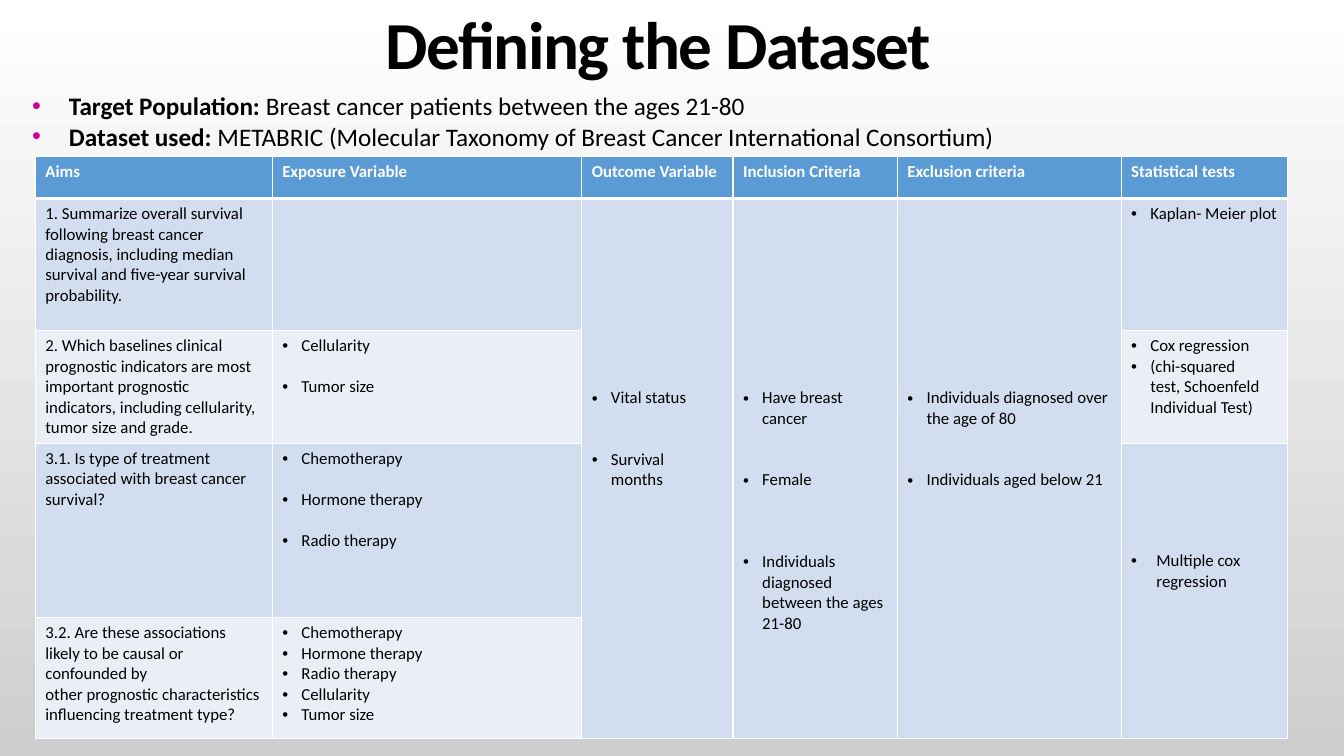
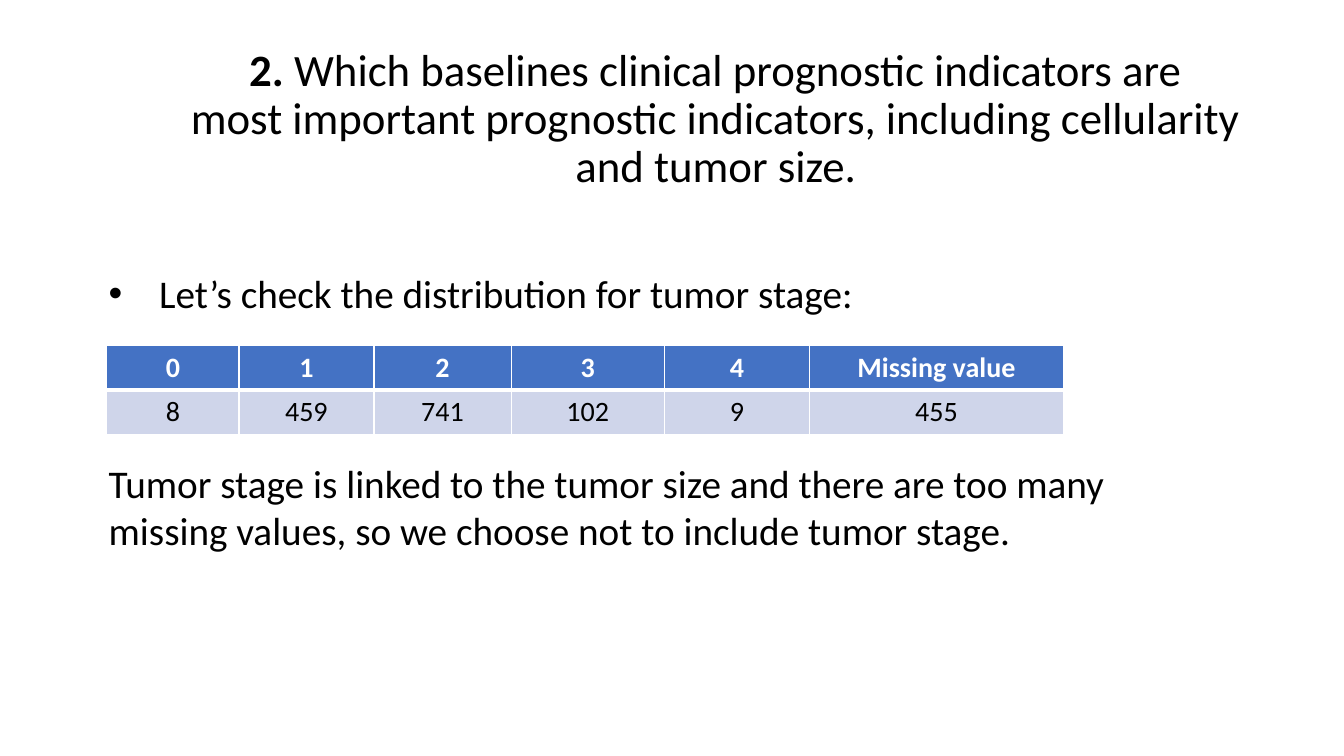
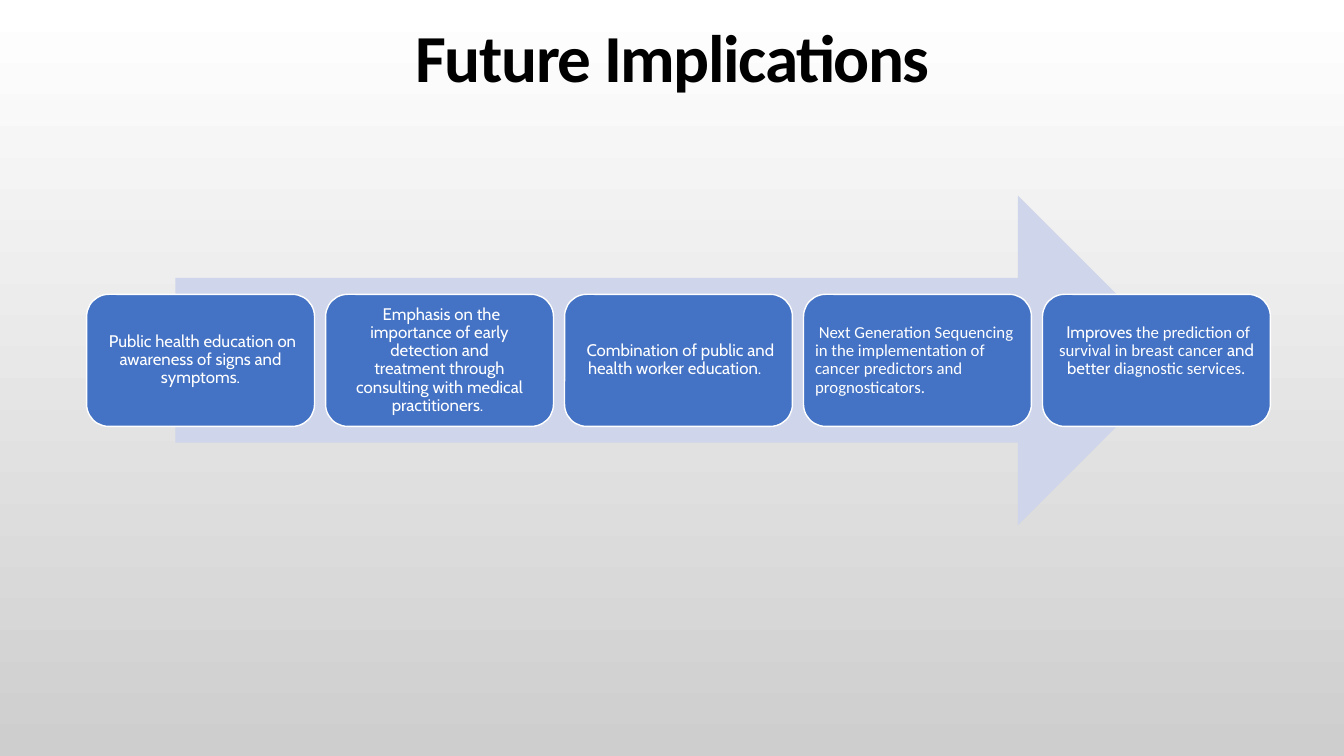
from lxml import etree
from pptx import Presentation
from pptx import util as u
from pptx.dml.color import RGBColor
from pptx.enum import shapes, text
from pptx.oxml import ns

W, H = 13.33, 7.5
FONT, CARD_FONT = "Calibri", "Cabin"
BLACK, WHITE, GREY, PINK = "000000", "FFFFFF", "CECECE", "CC0099"
BLUE, PALE_BLUE = "4472C4", "CFD5EA"
SKY, SKY_BANDS = "5B9BD5", ("D2DEEF", "EAEFF7")
LEFT, CENTER = text.PP_ALIGN.LEFT, text.PP_ALIGN.CENTER
TOP, MIDDLE = text.MSO_ANCHOR.TOP, text.MSO_ANCHOR.MIDDLE
LINE = 1.22  # line height as a share of the text size


def rgb(color):
    return RGBColor.from_string(color)


def inches(*values):
    return [u.Inches(v) for v in values]


def child(parent, tag, **attrs):
    return etree.SubElement(parent, ns.qn(tag), attrs)


def write(p, runs, size=12, font=FONT, color=BLACK, bold=False, align=LEFT,
          spacing=None, before=0, track=None, indent=0, bullet=None):
    """Fill a paragraph with a string or (string, format) runs; ~ is a hard space."""
    p.alignment, p.space_before, p.space_after = align, u.Pt(before), u.Pt(0)
    if spacing:
        p.line_spacing = spacing
    for words, own in [(runs, {})] if isinstance(runs, str) else runs:
        r = p.add_run()
        r.text = words.replace("~", chr(160))
        r.font.size, r.font.name = u.Pt(size), own.get("font", font)
        r.font.bold = own.get("bold", bold)
        r.font.color.rgb = rgb(color)
        if track:
            r.font._element.set("spc", str(track))
    if bullet:
        pPr = p._p.get_or_add_pPr()
        pPr.set("marL", str(u.Inches(indent)))
        pPr.set("indent", str(-u.Inches(indent)))
        child(child(pPr, "a:buClr"), "a:srgbClr", val=bullet)
        child(pPr, "a:buFont", typeface="Arial")
        child(pPr, "a:buChar", char="•")


def add_slide(prs, shaded):
    s = prs.slides.add_slide(prs.slide_layouts[5])
    fill = s.background.fill
    if shaded:
        fill.gradient()
        fill.gradient_angle = 270
        for stop, color in zip(fill.gradient_stops, (WHITE, GREY)):
            stop.color.rgb = rgb(color)
    else:
        fill.solid()
        fill.fore_color.rgb = rgb(WHITE)
    return s


def set_title(s, box, runs, **fmt):
    sp = s.shapes.title
    sp.left, sp.top, sp.width, sp.height = inches(*box)
    tf = sp.text_frame
    tf.word_wrap, tf.auto_size = True, text.MSO_AUTO_SIZE.NONE
    tf.vertical_anchor = MIDDLE
    style = dict(size=48, bold=True, align=CENTER, spacing=0.9, track=-100)
    write(tf.paragraphs[0], runs, **{**style, **fmt})


def add_text(s, box, paragraphs):
    tf = s.shapes.add_textbox(*inches(*box)).text_frame
    tf.word_wrap = True
    for i, (runs, fmt) in enumerate(paragraphs):
        write(tf.paragraphs[0] if i == 0 else tf.add_paragraph(), runs, **fmt)


def set_borders(cell, top, bottom):
    tcPr = cell._tc.get_or_add_tcPr()
    sides = (("a:lnL", 1), ("a:lnR", 1), ("a:lnT", top), ("a:lnB", bottom))
    for i, (tag, width) in enumerate(sides):
        ln = etree.Element(ns.qn(tag), w=str(u.Pt(width)))
        child(child(ln, "a:solidFill"), "a:srgbClr", val=WHITE)
        tcPr.insert(i, ln)


def add_table(s, left, top, widths, heights, head, bands):
    """Add a table with a header fill, banded rows and white rules."""
    shape = s.shapes.add_table(len(heights), len(widths), *inches(
        left, top, sum(widths), sum(heights)))
    table = shape.table
    for col, width in zip(table.columns, widths):
        col.width = u.Inches(width)
    for i, (row, height) in enumerate(zip(table.rows, heights)):
        row.height = u.Inches(height)
        for cell in row.cells:
            cell.fill.solid()
            cell.fill.fore_color.rgb = rgb(bands[(i - 1) % len(bands)] if i else head)
            set_borders(cell, 3 if i == 1 else 1, 1 if i else 3)
    return table


def fill_list(cell, items, skip=0, indent=0.19):
    """Bullets as (text, empty lines before it); skip lowers the whole list."""
    step = 12 * LINE
    cell.margin_top = u.Inches(0.05 + skip * step / 72)
    tf = cell.text_frame
    for i, (words, gap) in enumerate(items):
        write(tf.paragraphs[0] if i == 0 else tf.add_paragraph(), words,
              before=gap * step, indent=indent, bullet=BLACK)


# Dataset slide
HEADS = ["Aims", "Exposure Variable~", "Outcome Variable~", "Inclusion Criteria",
         "Exclusion criteria", "Statistical tests"]
AIMS = [
    "1. Summarize overall survival following breast cancer diagnosis,~including "
    "median survival and five-year survival probability.~",
    "2. Which baselines clinical prognostic indicators are most important~prognostic "
    "indicators, including cellularity, tumor size~and grade.",
    "3.1.~Is type of treatment associated with breast cancer survival?~",
    "3.2.~Are these associations likely to be causal or confounded by "
    "other~prognostic characteristics influencing treatment type?",
]
# (row, column, rows spanned, items, lines skipped, indent)
LISTS = [
    (2, 1, 1, [("Cellularity", 0), ("Tumor size", 1)], 0, 0.19),
    (3, 1, 1, [("Chemotherapy~", 0), ("Hormone therapy", 1), ("Radio therapy", 1)], 0, 0.19),
    (4, 1, 1, [("Chemotherapy~", 0), ("Hormone therapy", 0), ("Radio therapy", 0),
               ("Cellularity", 0), ("Tumor size~", 0)], 0, 0.19),
    (1, 2, 4, [("Vital status", 0), ("Survival months~", 2)], 9, 0.19),
    (1, 3, 4, [("Have breast cancer", 0), ("Female", 2),
               ("Individuals diagnosed between the ages 21-80", 3)], 9, 0.19),
    (1, 4, 4, [("Individuals diagnosed over the age of 80", 0),
               ("Individuals aged below 21", 2)], 9, 0.19),
    (1, 5, 1, [("Kaplan- Meier plot", 0)], 0, 0.19),
    (2, 5, 1, [("Cox regression", 0),
               ("(chi-squared test,~Schoenfeld Individual Test)", 0)], 0, 0.19),
    (3, 5, 2, [("Multiple cox regression", 0)], 5, 0.25),
]


def dataset_slide(prs):
    s = add_slide(prs, shaded=True)
    set_title(s, (0.78, -0.25, 11.5, 1.45), "Defining the Dataset")
    table = add_table(s, 0.35, 1.55, (2.35, 3.07, 1.5, 1.63, 2.22, 1.65),
                      (0.42, 1.31, 1.12, 1.73, 1.2), SKY, SKY_BANDS)
    for col, words in enumerate(HEADS):
        write(table.cell(0, col).text_frame.paragraphs[0], words, color=WHITE, bold=True)
    for row, words in enumerate(AIMS, 1):
        write(table.cell(row, 0).text_frame.paragraphs[0], words)
    for row, col, span, items, skip, indent in LISTS:
        cell = table.cell(row, col)
        if span > 1:
            cell.merge(table.cell(row + span - 1, col))
        fill_list(cell, items, skip, indent)
    facts = [
        ("~Target Population:~", "Breast cancer patients between the ages 21-80"),
        ("~Dataset used:~",
         "METABRIC (Molecular Taxonomy of Breast Cancer International Consortium)"),
    ]
    add_text(s, (0.22, 0.85, 12.3, 0.71), [
        ([(label, {"bold": True}), (fact, {})], dict(size=18, indent=0.31, bullet=PINK))
        for label, fact in facts])


# Tumor stage slide
STAGES = [("0", "1", "2", "3", "4", "Missing value"),
          ("8", "459", "741", "102", "9", "455")]


def stage_slide(prs):
    s = add_slide(prs, shaded=False)
    set_title(s, (1.62, 0.23, 10.96, 1.92), [
        ("2.", {"bold": True}),
        ("~Which baselines clinical prognostic indicators are most~important~prognostic "
         "indicators, including~cellularity and tumor size.", {})],
        size=32, bold=False, track=None)
    table = add_table(s, 1.06, 3.43, (1.31, 1.34, 1.36, 1.52, 1.44, 2.52),
                      (0.44, 0.44), BLUE, (PALE_BLUE,))
    for i, row in enumerate(STAGES):
        for col, words in enumerate(row):
            write(table.cell(i, col).text_frame.paragraphs[0], words, size=20,
                  align=CENTER, bold=i == 0, color=BLACK if i else WHITE)
    add_text(s, (0.98, 2.62, 10.74, 2.93), [
        ("Let’s check the distribution for tumor stage:",
         dict(size=28, indent=0.5, bullet=BLACK)),
        ("Tumor stage is linked to the tumor size and there are too many missing values, "
         "so we choose not to include tumor stage.",
         dict(size=28, before=3 * 28 * LINE))])


# Future implications slide
CARDS = [
    ("~Public health education on awareness of signs and symptoms.", {}),
    ("~Emphasis on the importance of early detection and treatment~through consulting "
     "with medical practitioners.~", {}),
    ("~Combination of public and health worker education.~~", {}),
    ("~Next Generation Sequencing in the implementation of cancer predictors and "
     "prognosticators.~", dict(font=FONT, align=LEFT)),
    ([("~Improves", {}),
      (" the prediction of survival in breast cancer", {"font": FONT}),
      (" and better", {}), ("~diagnostic services.", {"font": FONT})], {}),
]


def add_block(s, kind, box, color, line=None):
    sp = s.shapes.add_shape(kind, *inches(*box))
    sp.shadow.inherit = False
    sp.fill.solid()
    sp.fill.fore_color.rgb = rgb(color)
    if line:
        sp.line.color.rgb, sp.line.width = rgb(line), u.Pt(1)
    else:
        sp.line.fill.background()
    return sp


def add_cards(s, left, top, width, height, pitch):
    for i, (runs, own) in enumerate(CARDS):
        sp = add_block(s, shapes.MSO_SHAPE.ROUNDED_RECTANGLE,
                       (left + i * pitch, top, width, height), BLUE, WHITE)
        tf = sp.text_frame
        tf.word_wrap, tf.vertical_anchor = True, MIDDLE
        tf.margin_left = tf.margin_right = tf.margin_top = u.Inches(0.05)
        tf.margin_bottom = u.Inches(0.23 if i == len(CARDS) - 1 else 0.05)
        style = dict(font=CARD_FONT, color=WHITE, align=CENTER, spacing=0.9)
        write(tf.paragraphs[0], runs, **{**style, **own})


def future_slide(prs):
    s = add_slide(prs, shaded=True)
    set_title(s, (0.92, -0.17, 11.5, 1.45), "Future Implications", spacing=1.0)
    add_block(s, shapes.MSO_SHAPE.RIGHT_ARROW, (1.74, 1.94, 9.99, 3.27), PALE_BLUE)
    add_cards(s, 0.86, 2.92, 2.26, 1.31, 2.37)


def main():
    prs = Presentation()
    prs.slide_width, prs.slide_height = inches(W, H)
    for build in (dataset_slide, stage_slide, future_slide):
        build(prs)
    prs.save("out.pptx")


if __name__ == "__main__":
    main()
